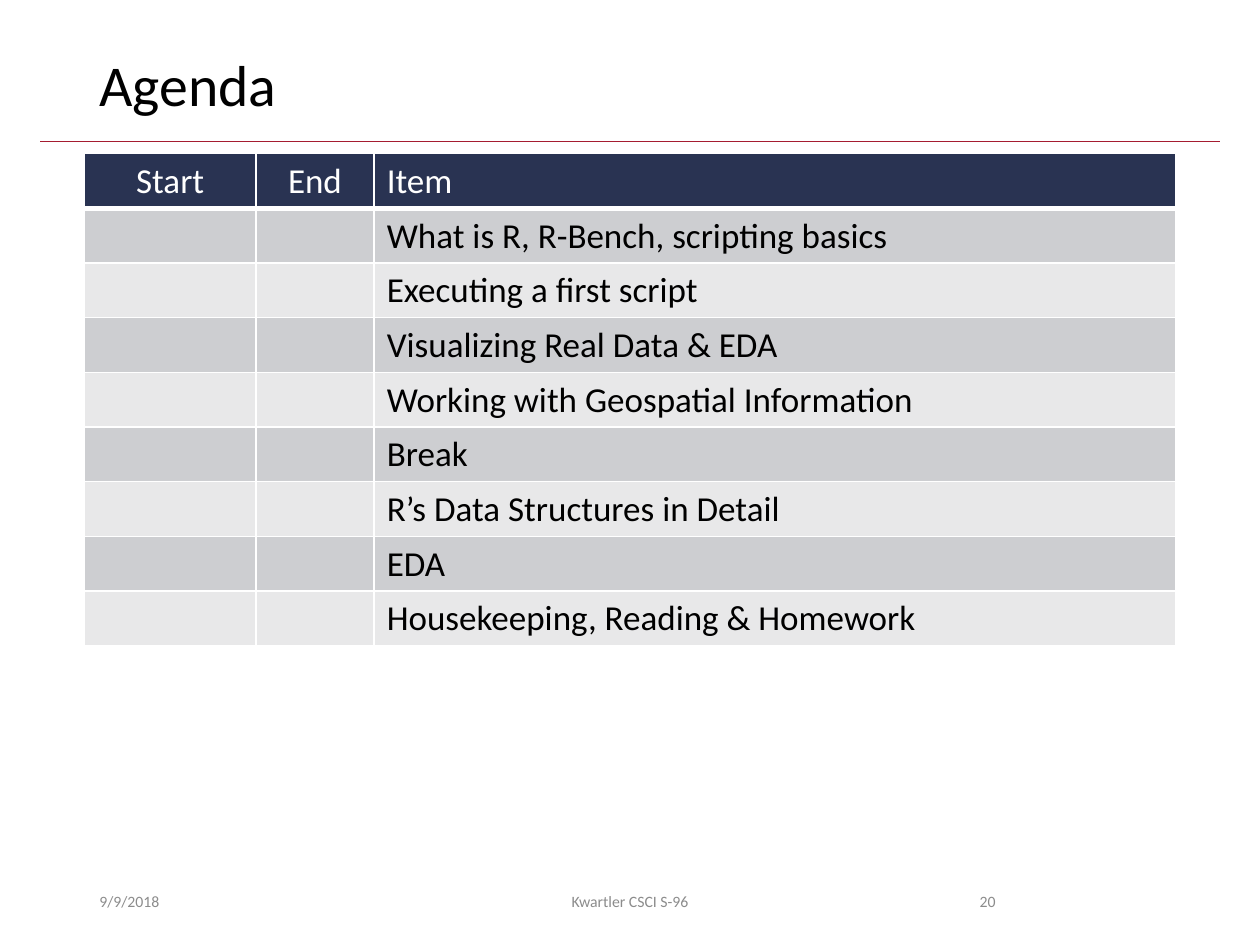
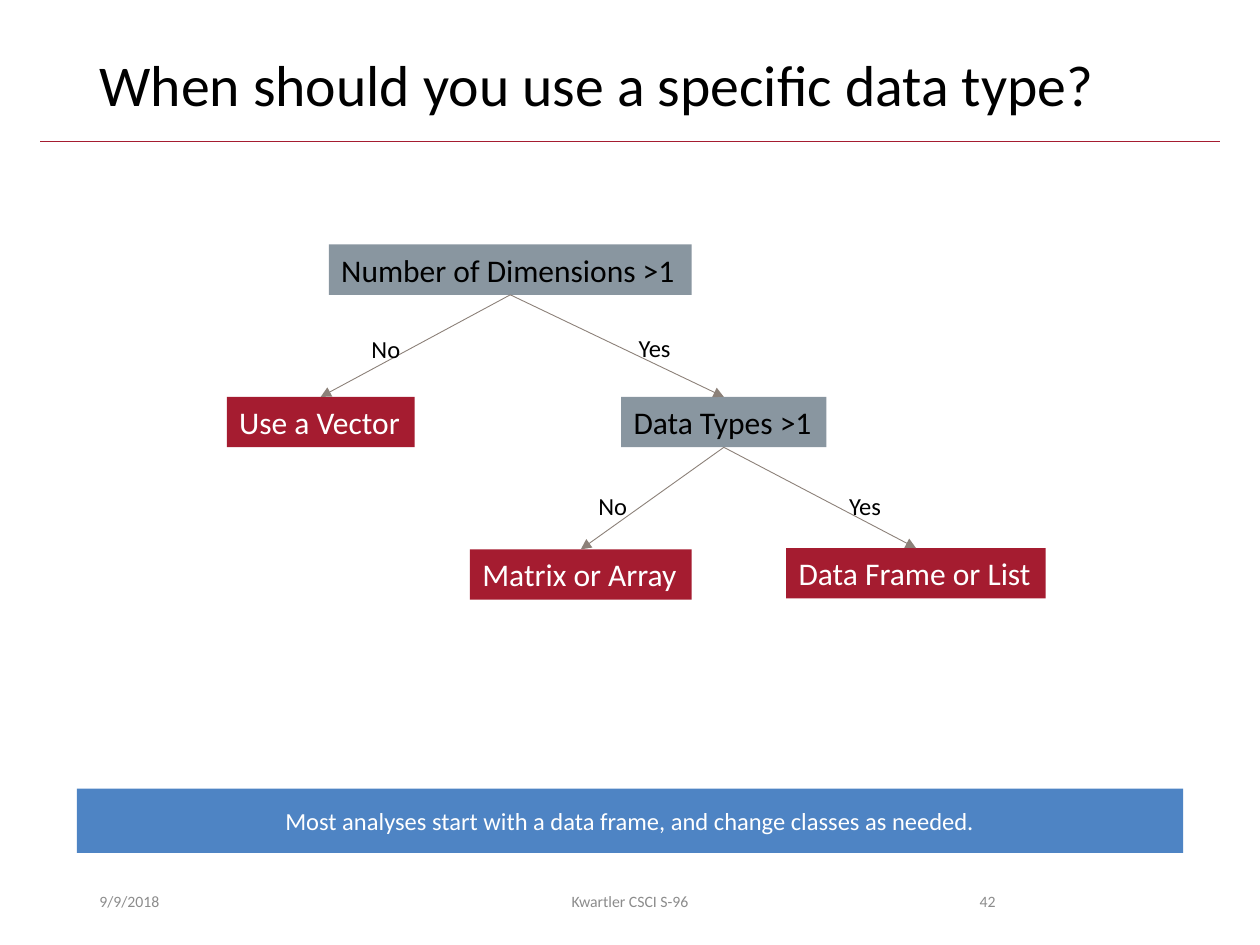
from pptx import Presentation
from pptx.dml.color import RGBColor
from pptx.enum.shapes import MSO_CONNECTOR, MSO_SHAPE
from pptx.enum.text import MSO_ANCHOR as Anchor, MSO_AUTO_SIZE as AutoSize, PP_ALIGN as Align
from pptx.oxml.ns import qn
from pptx.util import Inches, Pt
from lxml.etree import SubElement

FONT = "Calibri"
COLORS = {
    "ink": "000000",
    "white": "FFFFFF",
    "crimson": "A51C30",
    "navy": "293352",
    "band_dark": "CDCED1",
    "band_light": "E8E8E9",
    "footer": "8C8C8C",
    "slate": "8996A0",
    "arrow": "8C8179",
    "blue": "4E84C4",
}

TITLE_BOX = (0.69, 0.4, 8.62, 0.65)
FOOTER_BOX = (0.69, 6.95, 7.31, 0.4)
AGENDA_BOX = (0.67, 1.22, 8.66, 3.9)
TREE_BOX = (1.8, 1.94, 6.5, 2.82)
BANNER_BOX = (0.61, 6.26, 8.78, 0.51)

AGENDA_HEADERS = ["Start", "End", "Item"]
AGENDA_ITEMS = [
    "What is R, R-Bench, scripting basics",
    "Executing a first script",
    "Visualizing Real Data & EDA",
    "Working with Geospatial Information",
    "Break",
    "R’s Data Structures in Detail",
    "EDA",
    "Housekeeping, Reading & Homework",
]
NODE_HEIGHT = 0.4
TREE_NODES = {
    "dimensions": ("Number of Dimensions >1", 0.81, 0, 2.88, "slate", "ink"),
    "vector": ("Use a Vector", 0, 1.21, 1.49, "crimson", "white"),
    "types": ("Data Types >1", 3.13, 1.21, 1.63, "slate", "ink"),
    "matrix": ("Matrix or Array", 1.93, 2.42, 1.76, "crimson", "white"),
    "frame": ("Data Frame or List", 4.44, 2.41, 2.06, "crimson", "white"),
}
TREE_BRANCHES = [
    ("dimensions", "vector", "No", 1.05, 0.66),
    ("dimensions", "types", "Yes", 3.17, 0.65),
    ("types", "matrix", "No", 2.85, 1.91),
    ("types", "frame", "Yes", 4.84, 1.91),
]
LABEL_WIDTHS = {"No": 0.43, "Yes": 0.46}


def rgb(name):
    return RGBColor.from_string(COLORS[name])


def write(frame, text, size, color, align=Align.LEFT, anchor=Anchor.TOP, wrap=True):
    frame.word_wrap = wrap
    frame.vertical_anchor = anchor
    if not wrap:
        frame.auto_size = AutoSize.SHAPE_TO_FIT_TEXT
    para = frame.paragraphs[0]
    para.alignment = align
    span = para.add_run()
    span.text = text
    span.font.name = FONT
    span.font.size = Pt(size)
    span.font.color.rgb = rgb(color)
    return para


def add_text(page, box, text, size, color, **options):
    label = page.shapes.add_textbox(*map(Inches, box))
    return write(label.text_frame, text, size, color, **options)


def add_block(page, box, fill, text, size, color, **options):
    block = page.shapes.add_shape(MSO_SHAPE.RECTANGLE, *map(Inches, box))
    block.shadow.inherit = False
    block.fill.solid()
    block.fill.fore_color.rgb = rgb(fill)
    block.line.fill.background()
    write(block.text_frame, text, size, color, **options)
    return block


def add_line(page, color, start=(0, 0), end=(0, 0)):
    line = page.shapes.add_connector(MSO_CONNECTOR.STRAIGHT, *map(Inches, start + end))
    line.line.color.rgb = rgb(color)
    line.line.width = Pt(0.5)
    SubElement(line._element.spPr, qn("a:effectLst"))
    return line


def add_arrow(page, parent, child):
    arrow = add_line(page, "arrow")
    arrow.begin_connect(parent, 2)
    arrow.end_connect(child, 0)
    SubElement(arrow.line._get_or_add_ln(), qn("a:tailEnd"), type="triangle")


def add_title(page, box, text):
    left, top, width, height = box
    add_line(page, "crimson", (0.32, 1.12), (9.68, 1.12))
    para = add_text(page, box, text, 33, "ink")
    para.line_spacing = 0.9


def add_footer(page, box, number):
    left, top, width, height = box
    parts = [
        ("9/9/2018", 0, 2.25, Align.LEFT),
        ("Kwartler CSCI S-96", 2.62, 3.38, Align.CENTER),
        (str(number), width - 0.94, 0.94, Align.RIGHT),
    ]
    for text, offset, part_width, align in parts:
        add_text(page, (left + offset, top, part_width, height), text, 9, "footer",
                 align=align, anchor=Anchor.MIDDLE)


def style_cell(cell, fill, bottom_width):
    properties = cell._tc.get_or_add_tcPr()
    for side, width in (("L", 1), ("R", 1), ("T", 1), ("B", bottom_width)):
        border = SubElement(properties, qn(f"a:ln{side}"), w=str(Pt(width)))
        paint = SubElement(border, qn("a:solidFill"))
        SubElement(paint, qn("a:srgbClr"), val=COLORS["white"])
    cell.fill.solid()
    cell.fill.fore_color.rgb = rgb(fill)


def add_agenda(page, box):
    rows = [AGENDA_HEADERS] + [["", "", item] for item in AGENDA_ITEMS]
    table = page.shapes.add_table(len(rows), len(AGENDA_HEADERS), *map(Inches, box)).table
    for column, width in zip(table.columns, (1.36, 0.94, 6.36)):
        column.width = Inches(width)
    for row_index, texts in enumerate(rows):
        is_header = row_index == 0
        band = "band_dark" if row_index % 2 else "band_light"
        for column_index, text in enumerate(texts):
            cell = table.cell(row_index, column_index)
            style_cell(cell, "navy" if is_header else band, 3 if is_header else 1)
            if text:
                write(cell.text_frame, text, 20, "white" if is_header else "ink",
                      align=Align.LEFT if column_index == 2 else Align.CENTER)


def add_tree(page, box):
    left, top, width, height = box
    nodes = {}
    for name, (text, x, y, node_width, fill, color) in TREE_NODES.items():
        node_box = (left + x, top + y, node_width, NODE_HEIGHT)
        nodes[name] = add_block(page, node_box, fill, text, 18, color, wrap=False)
    for parent, child, answer, x, y in TREE_BRANCHES:
        add_arrow(page, nodes[parent], nodes[child])
        label_box = (left + x, top + y, LABEL_WIDTHS[answer], 0.34)
        add_text(page, label_box, answer, 14, "ink", wrap=False)


def add_page(deck, title, number):
    page = deck.slides.add_slide(deck.slide_layouts[6])
    add_title(page, TITLE_BOX, title)
    add_footer(page, FOOTER_BOX, number)
    return page


def main():
    deck = Presentation()
    deck.slide_width, deck.slide_height = Inches(10), Inches(7.5)

    agenda_page = add_page(deck, "Agenda", 20)
    add_agenda(agenda_page, AGENDA_BOX)

    choice_page = add_page(deck, "When should you use a specific data type?", 42)
    add_tree(choice_page, TREE_BOX)
    add_block(choice_page, BANNER_BOX, "blue",
              "Most analyses start with a data frame, and change classes as needed.",
              14, "white", align=Align.CENTER, anchor=Anchor.MIDDLE)

    deck.save("out.pptx")


if __name__ == "__main__":
    main()
